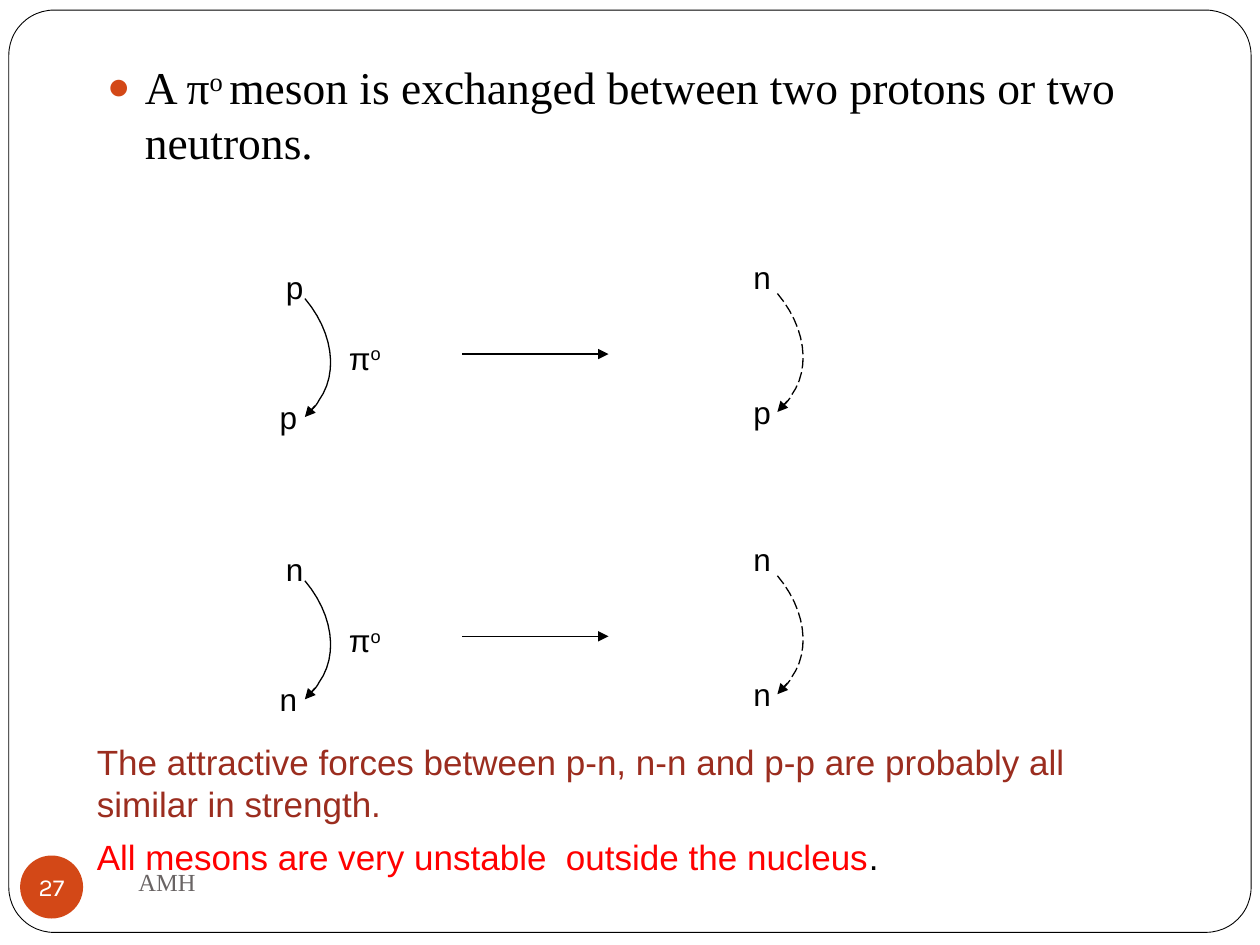
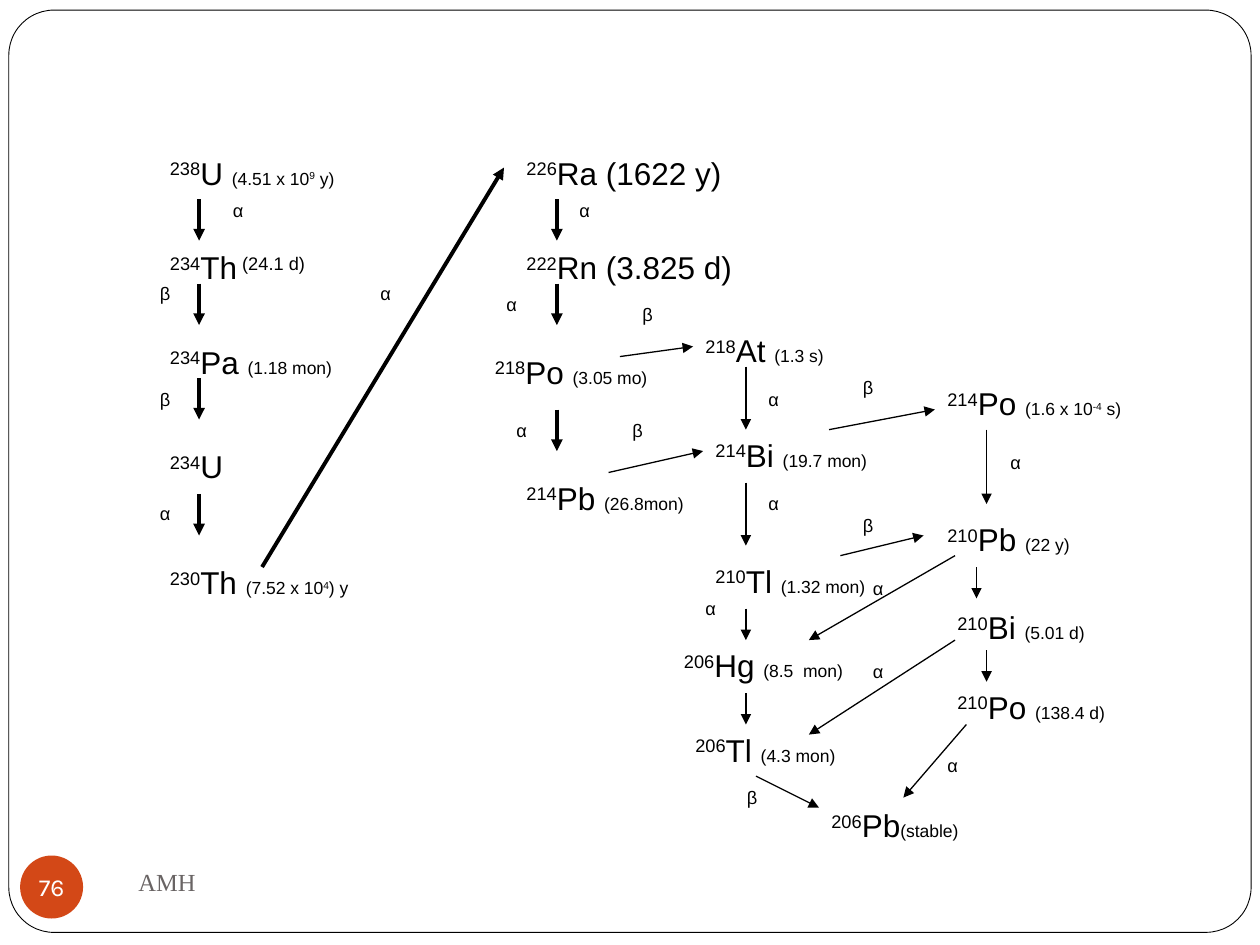
"""Build two nuclear physics slides: meson exchange and the uranium-238 decay series."""
from dataclasses import dataclass

from lxml.etree import SubElement
from pptx import Presentation
from pptx.dml.color import RGBColor as Rgb
from pptx.enum.dml import MSO_LINE_DASH_STYLE as Dash
from pptx.enum.shapes import MSO_CONNECTOR as Connector, MSO_SHAPE as Shape
from pptx.enum.text import MSO_ANCHOR as Anchor, MSO_AUTO_SIZE as AutoSize, PP_ALIGN as Align
from pptx.oxml.ns import qn
from pptx.util import Cm, Pt


@dataclass(frozen=True)
class Theme:
    ink: str = "000000"
    paper: str = "FFFFFF"
    accent: str = "D34817"
    footer: str = "696464"
    claim: str = "9B2D1F"
    warning: str = "FF0000"
    serif: str = "Times New Roman"
    sans: str = "Arial"
    number: str = "Karla"
    lead: int = 26
    remark: int = 20
    label: int = 18
    small: int = 14
    detail: int = 10
    thin: float = 0.75
    thick: float = 2.25


theme = Theme()


def lengths(*inches):
    return [Cm(2.54 * inch) for inch in inches]


def write(shape, pieces, face=theme.sans, size=theme.label, color=theme.ink):
    """Fill a shape with (text, size, color) pieces; text between carets is raised."""
    shape.text_frame.word_wrap = True
    para = shape.text_frame.paragraphs[0]
    para.font.name = face
    para.font.size = Pt(size)
    para.font.color.rgb = Rgb.from_string(color)
    for text, piece_size, piece_color in pieces:
        for order, part in enumerate(text.split("^")):
            if not part:
                continue
            span = para.add_run()
            span.text = part
            if piece_size:
                span.font.size = Pt(piece_size)
            if piece_color:
                span.font.color.rgb = Rgb.from_string(piece_color)
            if order % 2:
                span._r.get_or_add_rPr().set("baseline", "30000")
    return para


deck = Presentation()
deck.slide_width, deck.slide_height = lengths(10, 7.5)
exchange = deck.slides.add_slide(deck.slide_layouts[1])
decay = deck.slides.add_slide(deck.slide_layouts[6])

frame = exchange.shapes.add_shape(Shape.ROUNDED_RECTANGLE, *lengths(0.07, 0.08, 9.86, 7.32))
frame.adjustments[0] = 0.049
frame.shadow.inherit = False
frame.fill.solid()
frame.fill.fore_color.rgb = Rgb.from_string(theme.paper)
frame.line.color.rgb = Rgb.from_string(theme.ink)
frame.line.width = Pt(0.5)
frame.element.nvSpPr.cNvPr.id = 20
deck.slide_master.shapes.element.insert(2, frame.element)

for page, number in ((exchange, "27"), (decay, "76")):
    footer = page.shapes.add_textbox(*lengths(1, 6.75, 4.33, 0.5))
    footer.text_frame.vertical_anchor = Anchor.MIDDLE
    write(footer, [("AMH", None, None)], theme.serif, theme.small, theme.footer)
    badge = page.shapes.add_shape(Shape.OVAL, *lengths(0.16, 6.79, 0.5, 0.5))
    badge.shadow.inherit = False
    badge.fill.solid()
    badge.fill.fore_color.rgb = Rgb.from_string(theme.accent)
    badge.line.fill.background()
    write(badge, [(number, None, None)], theme.number, theme.small, theme.paper).alignment = Align.CENTER
    text = badge.text_frame
    text.word_wrap = False
    text.vertical_anchor = Anchor.MIDDLE
    text.margin_left = text.margin_top = text.margin_right = text.margin_bottom = 0

title = exchange.shapes.title.element
title.getparent().remove(title)
body = exchange.placeholders[1]
body.left, body.top, body.width, body.height = lengths(0.75, 0.42, 8.5, 6.25)
body.text_frame.auto_size = AutoSize.NONE
bullet = body.text_frame.paragraphs[0]
bullet.space_before = Pt(0)
properties = bullet._p.get_or_add_pPr()
properties.set("marL", str(Cm(0.76)))
properties.set("indent", str(Cm(-0.76)))
SubElement(SubElement(properties, qn("a:buClr")), qn("a:srgbClr")).set("val", theme.accent)
SubElement(properties, qn("a:buSzPct")).set("val", "85000")
SubElement(properties, qn("a:buChar")).set("char", "●")
sentence = "A π^o ^meson is exchanged between two protons or two neutrons."
write(body, [(sentence, None, None)], theme.serif, theme.lead)

arrows = []
arc_curves = (
    ((0, 0), (0.22, 0.26), (0.27, 0.59), (0.11, 0.81)),
    ((0.11, 0.81), (0.09, 0.85), (0.06, 0.88), (0.03, 0.9)),
)
arc_points = []
for curve in arc_curves:
    for step in range(1, 13):
        t = step / 12
        weights = ((1 - t) ** 3, 3 * t * (1 - t) ** 2, 3 * t * t * (1 - t), t ** 3)
        arc_points.append([sum(w * point[axis] for w, point in zip(weights, curve)) for axis in (0, 1)])

for drop, before, after in ((0, "pp", "np"), (2.24, "nn", "nn")):
    labels = (
        (2.17, 2.08, before[0]), (2.12, 3.11, before[1]), (2.67, 2.64, "π^o^"),
        (5.88, 2, after[0]), (5.88, 3.07, after[1]),
    )
    for left, top, particle in labels:
        write(exchange.shapes.add_textbox(*lengths(left, top + drop, 0.58, 0.4)), [(particle, None, None)])
    arrows.append((exchange, theme.thin, (3.67, 2.81 + drop, 4.83, 2.81 + drop)))
    for x, y, dash in ((2.42, 2.37 + drop, None), (6.17, 2.33 + drop, Dash.LONG_DASH)):
        builder = exchange.shapes.build_freeform(*lengths(x, y), scale=1.0)
        builder.add_line_segments([lengths(x + dx, y + dy) for dx, dy in arc_points], close=False)
        arc = builder.convert_to_shape()
        arc.shadow.inherit = False
        arc.fill.background()
        arc.line.color.rgb = Rgb.from_string(theme.ink)
        arc.line.width = Pt(theme.thin)
        arc.line.dash_style = dash
        arrows.append((exchange, theme.thin, (x + 0.08, y + 0.85, x, y + 0.94)))

claim = "The attractive forces between p-n, n-n and p-p are probably all similar in strength."
warning = "All mesons are very unstable  outside the nucleus"
remarks = (
    (5.83, 0.77, theme.claim, [(claim, None, None)]),
    (6.58, 0.43, theme.warning, [(warning, None, None), (".", None, theme.ink)]),
)
for top, height, color, pieces in remarks:
    write(exchange.shapes.add_textbox(*lengths(0.67, top, 8.75, height)), pieces, size=theme.remark, color=color)

isotopes = (
    (1.25, 1.17, 1.83, "^238^U ", "(4.51 x 10^9^ y)"),
    (1.25, 1.92, 1.42, "^234^Th^ (24.1 d)^", ""),
    (1.25, 2.67, 1.58, "^234^Pa ", "(1.18 mon)"),
    (1.25, 3.5, 0.83, "^234^U", ""),
    (1.25, 4.42, 1.67, "^230^Th ", "(7.52 x 10^4^) y"),
    (4.08, 1.17, 2.08, "^226^Ra (1622 y)", ""),
    (4.08, 1.92, 2.17, "^222^Rn (3.825 d)", ""),
    (3.83, 2.75, 1.5, "^218^Po ", "(3.05 mo)"),
    (4.08, 3.75, 1.5, "^214^Pb ", "(26.8mon)"),
    (5.5, 2.58, 1.25, "^218^At ", "(1.3 s)"),
    (5.58, 3.41, 1.58, "^214^Bi ", "(19.7 mon)"),
    (5.58, 4.41, 1.5, "^210^Tl ", "(1.32 mon)"),
    (7.42, 3, 1.75, "^214^Po ", "(1.6 x 10^-4^ s)"),
    (7.42, 4.08, 1.25, "^210^Pb ", "(22 y)"),
    (7.5, 4.78, 1.33, "^210^Bi ", "(5.01 d)"),
    (7.5, 5.41, 1.5, "^210^Po ", "(138.4 d)"),
    (5.33, 5.08, 1.5, "^206^Hg ", "(8.5  mon)"),
    (5.42, 5.75, 1.5, "^206^Tl ", "(4.3 mon)"),
    (6.5, 6.35, 1.5, "^206^Pb", "(stable)"),
)
for left, top, width, nuclide, half_life in isotopes:
    box = decay.shapes.add_textbox(*lengths(left, top, width, 0.4))
    write(box, [(nuclide, None, None), (half_life, theme.detail, None)])

emissions = {
    "α": (
        (1.75, 1.5), (1.17, 3.91), (2.92, 2.16), (4.5, 1.5), (3.92, 2.25), (4, 3.25), (6, 3),
        (6, 3.83), (7.92, 3.5), (7.42, 5.91), (5.5, 4.66), (6.83, 4.5), (6.83, 5.16),
    ),
    "β": (
        (5.83, 6.16), (1.17, 2.16), (1.17, 3), (5, 2.33), (4.92, 3.25), (6.75, 2.91), (6.75, 4),
    ),
}
for particle, places in emissions.items():
    for left, top in places:
        write(decay.shapes.add_textbox(*lengths(left, top, 0.33, 0.4)), [(f"^{particle}^", None, None)])

main_steps = ((1.58, (1.58, 2.25, 3, 3.92)), (4.42, (1.58, 2.25, 3.25)))
for x, tops in main_steps:
    arrows += [(decay, theme.thick, (x, top, x, top + 0.33)) for top in tops]
arrows.append((decay, theme.thick, (2.08, 4.5, 4, 1.33)))
branch_steps = (
    (4.92, 2.83, 5.5, 2.75), (4.83, 3.75, 5.58, 3.58), (5.92, 2.91, 5.92, 3.41),
    (6.58, 3.41, 7.42, 3.25), (5.92, 3.83, 5.92, 4.33), (6.67, 4.41, 7.33, 4.25),
    (7.83, 3.41, 7.83, 4), (7.75, 4.5, 7.75, 4.75), (7.83, 5.16, 7.83, 5.41),
    (5.92, 4.83, 5.92, 5.08), (5.92, 5.5, 5.92, 5.75), (6, 6.16, 6.5, 6.41),
    (7.58, 4.41, 6.42, 5.08), (7.58, 5.08, 6.42, 5.83), (7.67, 5.75, 7.17, 6.33),
)
arrows += [(decay, theme.thin, ends) for ends in branch_steps]

for page, weight, ends in arrows:
    arrow = page.shapes.add_connector(Connector.STRAIGHT, *lengths(*ends))
    arrow.line.color.rgb = Rgb.from_string(theme.ink)
    arrow.line.width = Pt(weight)
    SubElement(arrow.line._get_or_add_ln(), qn("a:tailEnd")).set("type", "triangle")
    SubElement(arrow.element.spPr, qn("a:effectLst"))

deck.save("out.pptx")
